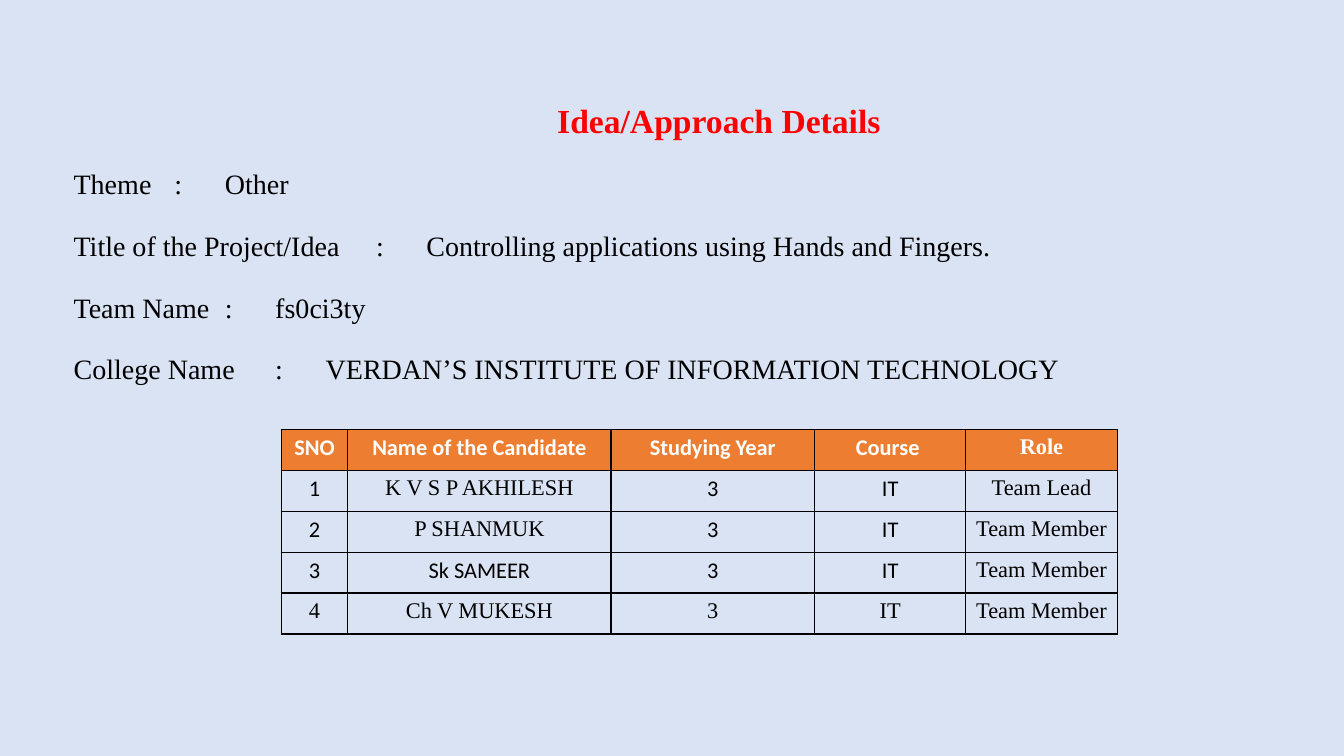
from dataclasses import dataclass

from lxml.etree import SubElement
from pptx import Presentation
from pptx.dml.color import RGBColor
from pptx.enum.text import MSO_ANCHOR as Anchor, MSO_AUTO_SIZE as AutoSize, PP_ALIGN as Align
from pptx.oxml import parse_xml
from pptx.oxml.ns import nsdecls, qn
from pptx.util import Inches, Pt


@dataclass(frozen=True)
class Theme:
    background: str = "DAE3F3"
    accent: str = "FF0000"
    header: str = "ED7D31"
    ink: str = "000000"
    white: str = "FFFFFF"
    serif: str = "Times New Roman"
    sans: str = "Calibri"
    title_size: int = 24
    body_size: int = 20
    table_size: int = 16


THEME = Theme()

DETAILS = [
    ("Theme", "Other"),
    ("Title of the Project/Idea", "Controlling applications using Hands and Fingers."),
    ("Team Name", "fs0ci3ty"),
    ("College Name", "VERDAN’S INSTITUTE OF INFORMATION TECHNOLOGY"),
]
TAB_STOPS = (3, 4)

# Each row: cell texts, then one font letter per cell (C sans, T serif)
CANDIDATES = [
    (("SNO", "Name of the Candidate", "Studying Year", "Course ", "Role"), "CCCCT"),
    (("1", "K V S P AKHILESH", "3", "IT", "Team Lead"), "CTCCT"),
    (("2", "P SHANMUK", "3", "IT", "Team Member"), "CTCCT"),
    (("3", "Sk SAMEER", "3", "IT", "Team Member"), "CCCCT"),
    (("4", "Ch V MUKESH", "3", "IT", "Team Member"), "TTTTT"),
]
COLUMN_WIDTHS = (0.66, 2.61, 2.02, 1.5, 1.5)


def set_all(target, values):
    for name, value in values.items():
        setattr(target, name, value)


def write(para, text, size, color, font=THEME.serif, bold=False):
    span = para.add_run()
    span.text = text
    set_all(span.font, {"name": font, "size": Pt(size), "bold": bold})
    span.font.color.rgb = RGBColor.from_string(color)


def place(shape, box, anchor):
    left, top, width, height = map(Inches, box)
    set_all(shape, {"left": left, "top": top, "width": width, "height": height})
    set_all(shape.text_frame, {"word_wrap": True, "auto_size": AutoSize.NONE,
                               "vertical_anchor": anchor})


def add_title(page, box):
    title = page.shapes.title
    place(title, box, Anchor.MIDDLE)
    para = title.text_frame.paragraphs[0]
    para.alignment = Align.CENTER
    write(para, "Idea/Approach Details", THEME.title_size, THEME.accent, bold=True)


def add_details(page, box):
    body = page.placeholders[1]
    place(body, box, Anchor.TOP)
    frame = body.text_frame
    for index, (label, value) in enumerate(DETAILS):
        para = frame.add_paragraph() if index else frame.paragraphs[0]
        set_all(para, {"alignment": Align.LEFT, "line_spacing": 0.9,
                       "space_before": Pt(0), "space_after": Pt(22.5)})
        # No bullet, and tab stops for the colon and the value
        props = para._p.get_or_add_pPr()
        props.set("marL", "0")
        props.set("indent", "0")
        SubElement(props, qn("a:buNone"))
        tabs = SubElement(props, qn("a:tabLst"))
        for stop in TAB_STOPS:
            SubElement(tabs, qn("a:tab"), pos=str(Inches(stop)), algn="l")
        write(para, f"{label}\t:\t{value}", THEME.body_size, THEME.ink)


def add_borders(cell):
    props = cell._tc.get_or_add_tcPr()
    for index, side in enumerate(("lnL", "lnR", "lnT", "lnB")):
        props.insert(index, parse_xml(
            f'<a:{side} {nsdecls("a")} w="{Pt(1)}"><a:solidFill>'
            f'<a:srgbClr val="{THEME.ink}"/></a:solidFill></a:{side}>'))


def add_candidates(page, box):
    left, top, width, height = map(Inches, box)
    table = page.shapes.add_table(len(CANDIDATES), len(COLUMN_WIDTHS),
                                  left, top, width, height).table
    set_all(table, {"first_row": False, "horz_banding": False})
    for column, column_width in zip(table.columns, COLUMN_WIDTHS):
        column.width = Inches(column_width)
    for row_index, (texts, fonts) in enumerate(CANDIDATES):
        is_header = row_index == 0
        for column_index, (text, letter) in enumerate(zip(texts, fonts)):
            cell = table.cell(row_index, column_index)
            set_all(cell, {"margin_left": Inches(0.07), "margin_right": Inches(0.07),
                           "vertical_anchor": Anchor.TOP})
            if is_header:
                cell.fill.solid()
                cell.fill.fore_color.rgb = RGBColor.from_string(THEME.header)
            else:
                cell.fill.background()
            add_borders(cell)
            para = cell.text_frame.paragraphs[0]
            para.alignment = Align.CENTER
            write(para, text, THEME.table_size, THEME.white if is_header else THEME.ink,
                  THEME.sans if letter == "C" else THEME.serif, is_header)


def main():
    deck = Presentation()
    set_all(deck, {"slide_width": Inches(13.33), "slide_height": Inches(7.5)})
    page = deck.slides.add_slide(deck.slide_layouts[1])
    page.background.fill.solid()
    page.background.fill.fore_color.rgb = RGBColor.from_string(THEME.background)

    add_title(page, (4.63, 0.96, 5, 0.46))
    add_details(page, (0.63, 1.64, 11.72, 2.39))
    add_candidates(page, (2.79, 4.26, sum(COLUMN_WIDTHS), 2.03))
    deck.save("out.pptx")


if __name__ == "__main__":
    main()
